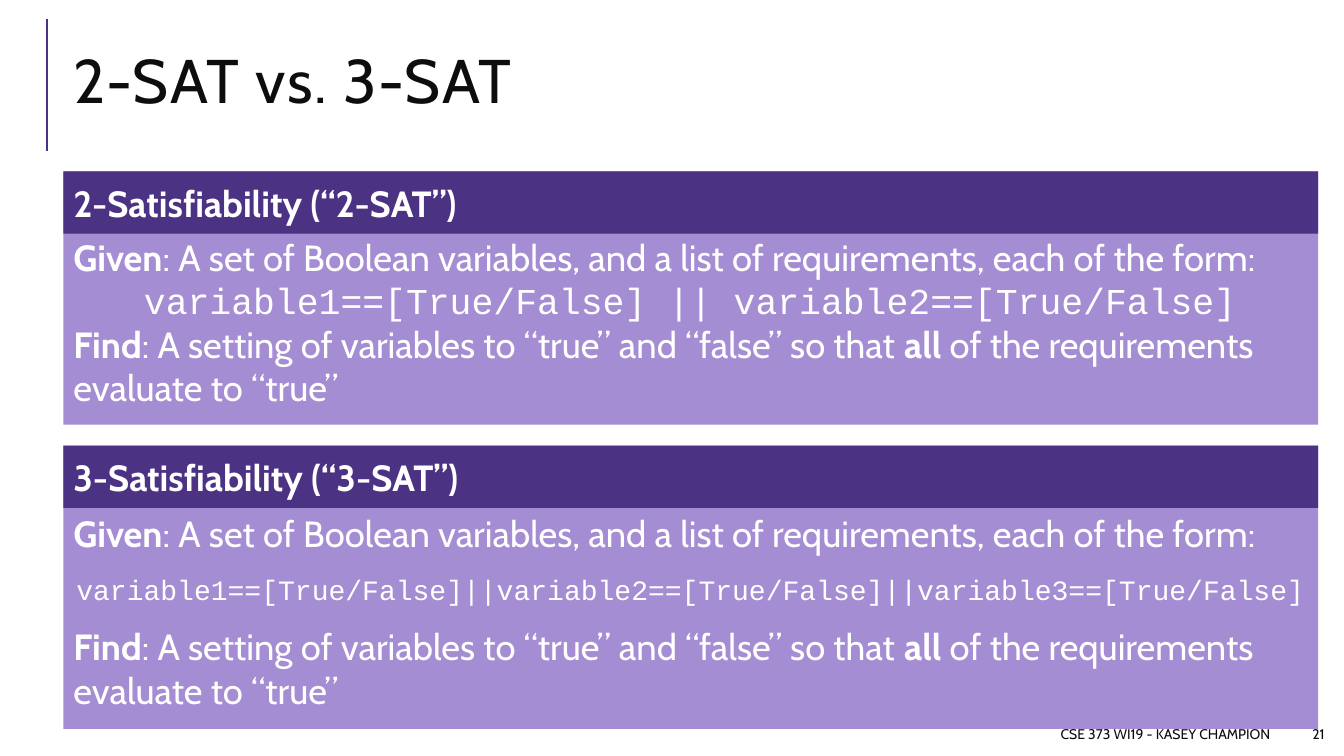
from dataclasses import dataclass
from lxml.etree import SubElement
from pptx import Presentation
from pptx.dml.color import RGBColor as Rgb
from pptx.enum.shapes import MSO_CONNECTOR as Link, MSO_SHAPE as Form
from pptx.enum.text import MSO_ANCHOR as Anchor, MSO_AUTO_SIZE as Fit, PP_ALIGN as Align
from pptx.oxml.ns import qn
from pptx.util import Cm, Pt


@dataclass(frozen=True)
class Theme:
    dark: Rgb = Rgb(0x4C, 0x32, 0x82)
    light: Rgb = Rgb(0xA4, 0x8D, 0xD3)
    white: Rgb = Rgb(0xFF, 0xFF, 0xFF)
    ink: Rgb = Rgb(0x0D, 0x0D, 0x0D)
    sans: str = "Cabin"
    mono: str = "Courier New"
    title: int = 44
    body: int = 26
    code: int = 20
    small: int = 10


theme = Theme()
GIVEN = [("Given", True),
         (": A set of Boolean variables, and a list of requirements, each of the form:", False)]
FIND = [("Find", True), (": A setting of variables to “true” and “false” so that ", False),
        ("all", True), (" of the requirements evaluate to “true”", False)]
CARDS = [
    dict(box=(1.6, 4.32, 31.62, 6.38), name="2-Satisfiability (“2-SAT”)",
         code="variable1==[True/False] || variable2==[True/False]", size=theme.body, gap=0),
    dict(box=(1.6, 11.23, 31.62, 7.14), name="3-Satisfiability (“3-SAT”)",
         code="variable1==[True/False]||variable2==[True/False]||variable3==[True/False]",
         size=theme.code, gap=13),
]


def apply(item, **values):
    for key, value in values.items():
        setattr(item, key, value)


def write(para, parts, size, color, face=theme.sans, **values):
    apply(para, **{"alignment": Align.LEFT, **values})
    for text, bold in parts:
        run = para.add_run()
        run.text = text
        apply(run.font, size=Pt(size), name=face, bold=bold)
        run.font.color.rgb = color


def add_block(slide, box, color):
    block = slide.shapes.add_shape(Form.RECTANGLE, *map(Cm, box))
    block.shadow.inherit = False
    block.fill.solid()
    block.fill.fore_color.rgb = color
    block.line.fill.background()
    apply(block.text_frame, word_wrap=True, vertical_anchor=Anchor.MIDDLE)
    return block.text_frame


def add_card(slide, box, name, code, size, gap):
    left, top, width, _ = box
    body = add_block(slide, box, theme.light)
    body.margin_top = Cm(1.33)
    write(body.paragraphs[0], GIVEN, theme.body, theme.white)
    write(body.add_paragraph(), [(code, False)], size, theme.white, theme.mono,
          alignment=Align.CENTER, space_before=Pt(gap), space_after=Pt(gap))
    write(body.add_paragraph(), FIND, theme.body, theme.white)
    head = add_block(slide, (left, top, width, 1.57), theme.dark)
    write(head.paragraphs[0], [(name, True)], theme.body, theme.white)


def add_title(slide, box, text):
    left, top, width, height = box
    rule = slide.shapes.add_connector(
        Link.STRAIGHT, Cm(left - 0.41), Cm(top + 3.07), Cm(left - 0.41), Cm(top - 0.26))
    rule.line.color.rgb = theme.dark
    rule.line.width = Pt(1.5)
    SubElement(rule._element.spPr, qn("a:effectLst"))
    title = slide.shapes.title
    apply(title, left=Cm(left), top=Cm(top), width=Cm(width), height=Cm(height))
    frame = title.text_frame
    apply(frame, word_wrap=True, auto_size=Fit.NONE, vertical_anchor=Anchor.MIDDLE)
    para = frame.paragraphs[0]
    write(para, [(text, False)], theme.title, theme.ink, line_spacing=0.8)
    para.runs[0]._r.get_or_add_rPr().set("spc", "100")


def add_note(slide, box, text):
    frame = slide.shapes.add_textbox(*map(Cm, box)).text_frame
    apply(frame, word_wrap=True, vertical_anchor=Anchor.MIDDLE)
    write(frame.paragraphs[0], [(text, False)], theme.small, theme.ink, alignment=Align.RIGHT)


def main():
    deck = Presentation()
    apply(deck, slide_width=Cm(33.87), slide_height=Cm(19.05))
    slide = deck.slides.add_slide(deck.slide_layouts[5])
    add_title(slide, (1.6, 0.74, 31.06, 2.82), "2-SAT vs. 3-SAT")
    for card in CARDS:
        add_card(slide, **card)
    add_note(slide, (15.88, 18.11, 16.38, 0.76), "CSE 373 WI19 - KASEY CHAMPION")
    add_note(slide, (32.46, 18.11, 1.17, 0.76), "21")
    deck.save("out.pptx")


if __name__ == "__main__":
    main()
